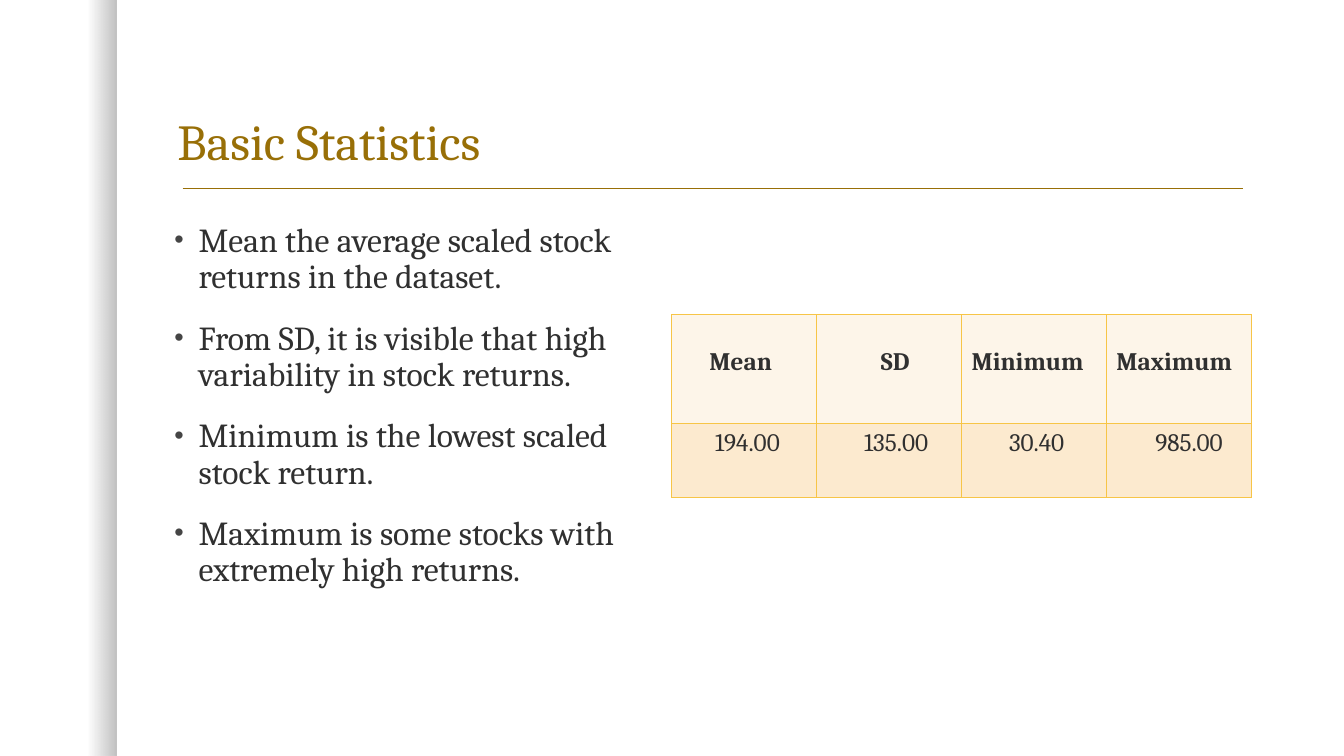
from pptx import Presentation
from pptx.dml.color import RGBColor
from pptx.enum.shapes import MSO_CONNECTOR, MSO_SHAPE
from pptx.enum.text import MSO_ANCHOR, MSO_AUTO_SIZE, PP_ALIGN
from pptx.oxml import parse_xml
from pptx.oxml.ns import nsdecls, qn
from pptx.util import Pt

RECTANGLE, STRAIGHT = MSO_SHAPE.RECTANGLE, MSO_CONNECTOR.STRAIGHT
BOTTOM, LEFT, NO_FIT = MSO_ANCHOR.BOTTOM, PP_ALIGN.LEFT, MSO_AUTO_SIZE.NONE

TITLE = "Basic Statistics"
BULLETS = [
    "Mean the average scaled stock returns in the dataset.",
    "From SD, it is visible that high variability in stock returns.",
    "Minimum is the lowest scaled stock return.",
    "Maximum is some stocks with extremely high returns.",
]
# Each cell: text and its left margin in points
HEADER = [("Mean", 27), ("SD", 46), ("Minimum", 7.2), ("Maximum", 7.2)]
VALUES = [("194.00", 31), ("135.00", 34), ("30.40", 34), ("985.00", 35)]
# Each row: cells, height, top margin, fill, bold
ROWS = [
    (HEADER, 78, 24, "header", True),
    (VALUES, 52.5, 3.6, "value", False),
]
FONT = "Cambria"
COLORS = {
    "gold": "986F07", "text": "303030", "bullet": "454545", "border": "F7C547",
    "header": "FDF5E9", "value": "FCEACF", "shade": "000000",
}
COLUMN_WIDTH = 103.5


def format_runs(para, size, color, bold=False):
    for span in para.runs:
        span.font.name = FONT
        span.font.size = Pt(size)
        span.font.bold = bold
        span.font.color.rgb = RGBColor.from_string(COLORS[color])


def add_edge_shade(page):
    band = page.shapes.add_shape(RECTANGLE, 0, 0, Pt(83.5), Pt(540))
    band.shadow.inherit = False
    band.line.fill.background()
    band.fill.background()
    stops = "".join(
        f'<a:gs pos="{position}"><a:srgbClr val="{COLORS["shade"]}">'
        f'<a:alpha val="{alpha}"/></a:srgbClr></a:gs>'
        for position, alpha in ((75000, 0), (100000, 25000))
    )
    gradient = parse_xml(
        f'<a:gradFill {nsdecls("a")}><a:gsLst>{stops}</a:gsLst>'
        '<a:lin ang="0" scaled="0"/></a:gradFill>'
    )
    properties = band.element.spPr
    properties.replace(properties.find(qn("a:noFill")), gradient)


def add_title(page):
    title = page.shapes.title
    title.left, title.top, title.width, title.height = Pt(119.5), Pt(30), Pt(774), Pt(96)
    frame = title.text_frame
    frame.text = TITLE
    frame.auto_size = NO_FIT
    frame.vertical_anchor = BOTTOM
    para = frame.paragraphs[0]
    para.alignment = LEFT
    para.line_spacing = 0.9
    format_runs(para, 36, "gold")

    rule = page.shapes.add_connector(STRAIGHT, Pt(130.5), Pt(134.5), Pt(888), Pt(134.5))
    rule.line.color.rgb = RGBColor.from_string(COLORS["gold"])
    rule.line.width = Pt(1)
    rule.element.spPr.append(parse_xml(f'<a:effectLst {nsdecls("a")}/>'))


def add_bullets(page):
    box = page.shapes.add_textbox(Pt(117.5), Pt(156), Pt(378), Pt(330))
    frame = box.text_frame
    frame.word_wrap = True
    for index, line in enumerate(BULLETS):
        para = frame.add_paragraph() if index else frame.paragraphs[0]
        para.text = line
        para.line_spacing = 0.9
        para.space_before = Pt(18)
        format_runs(para, 24, "text")
        properties = para._p.get_or_add_pPr()
        properties.set("marL", str(Pt(17.3)))
        properties.set("indent", str(-Pt(17.3)))
        for markup in (
            f'<a:buClr {nsdecls("a")}><a:srgbClr val="{COLORS["bullet"]}"/></a:buClr>',
            f'<a:buSzPct {nsdecls("a")} val="80000"/>',
            f'<a:buFont {nsdecls("a")} typeface="Arial"/>',
            f'<a:buChar {nsdecls("a")} char="•"/>',
        ):
            properties.append(parse_xml(markup))


def add_borders(cell):
    properties = cell._tc.get_or_add_tcPr()
    for side in ("lnL", "lnR", "lnT", "lnB"):
        properties.append(parse_xml(
            f'<a:{side} {nsdecls("a")} w="{Pt(1)}"><a:solidFill>'
            f'<a:srgbClr val="{COLORS["border"]}"/></a:solidFill></a:{side}>'
        ))


def add_statistics(page):
    height = sum(row[1] for row in ROWS)
    table = page.shapes.add_table(
        len(ROWS), len(HEADER), Pt(479.75), Pt(224.75),
        Pt(COLUMN_WIDTH * len(HEADER)), Pt(height),
    ).table
    table.horz_banding = False
    for column in table.columns:
        column.width = Pt(COLUMN_WIDTH)
    for row, (cells, row_height, top, fill, bold) in zip(table.rows, ROWS):
        row.height = Pt(row_height)
        for cell, (text, left) in zip(row.cells, cells):
            cell.text_frame.text = text
            cell.margin_left, cell.margin_top = Pt(left), Pt(top)
            format_runs(cell.text_frame.paragraphs[0], 18, "text", bold)
            add_borders(cell)
            cell.fill.solid()
            cell.fill.fore_color.rgb = RGBColor.from_string(COLORS[fill])


def main():
    deck = Presentation()
    deck.slide_width, deck.slide_height = Pt(960), Pt(540)
    page = deck.slides.add_slide(deck.slide_layouts[5])
    add_edge_shade(page)
    add_title(page)
    add_bullets(page)
    add_statistics(page)
    deck.save("out.pptx")


if __name__ == "__main__":
    main()
